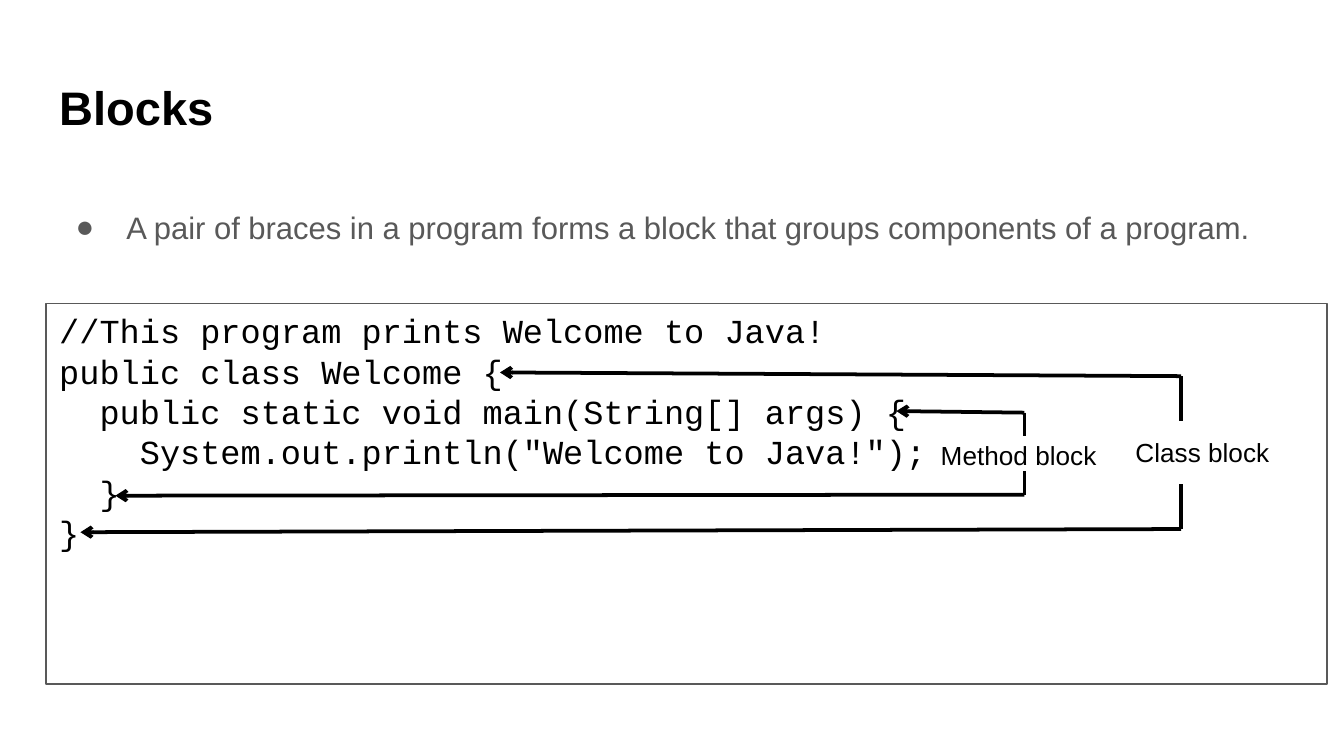
from lxml.etree import SubElement
from pptx import Presentation
from pptx.dml.color import RGBColor
from pptx.enum.shapes import MSO_CONNECTOR, MSO_SHAPE
from pptx.enum.text import MSO_ANCHOR, PP_ALIGN
from pptx.oxml.ns import qn
from pptx.util import Cm, Pt

BLACK = RGBColor(0x00, 0x00, 0x00)
GRAY = RGBColor(0x59, 0x59, 0x59)

LEFT = 0.87
TEXT_WIDTH = 23.67
CODE = """//This program prints Welcome to Java!
public class Welcome {
  public static void main(String[] args) {
    System.out.println("Welcome to Java!");
  }
}"""


def style_font(font, name, size, color, bold=False):
    """Set the look of a font."""
    font.name = name
    font.size = Pt(size)
    font.color.rgb = color
    font.bold = bold


def add_text(page, text, frame, size, color=BLACK, bold=False, wrap=True):
    """Add an Arial text box and return it."""
    box = page.shapes.add_textbox(*(Cm(length) for length in frame))
    box.text_frame.word_wrap = wrap
    box.text_frame.text = text
    for span in box.text_frame.paragraphs[0].runs:
        style_font(span.font, "Arial", size, color, bold)
    return box


def add_title(page, text):
    """Add the bold heading."""
    box = add_text(page, text, (LEFT, 1.24, TEXT_WIDTH, 1.6), 25.2, bold=True)
    box.text_frame.margin_top = box.text_frame.margin_bottom = Cm(0.25)


def add_bullet(page, text):
    """Add the bulleted statement."""
    box = add_text(page, text, (LEFT, 3.18, TEXT_WIDTH, 2.11), 16.6, GRAY)
    box.text_frame.vertical_anchor = MSO_ANCHOR.MIDDLE
    paragraph = box.text_frame.paragraphs[0]
    paragraph.line_spacing = 1.15
    properties = paragraph._p.get_or_add_pPr()
    properties.set("marL", str(Cm(1.27)))
    properties.set("indent", str(Cm(-0.96)))
    SubElement(properties, qn("a:buFont"), typeface="Arial")
    SubElement(properties, qn("a:buChar"), char="●")


def add_code(page, code):
    """Add the framed code listing."""
    box = page.shapes.add_shape(
        MSO_SHAPE.RECTANGLE, Cm(LEFT), Cm(5.74), Cm(24.21), Cm(7.19))
    box.shadow.inherit = False
    box.fill.background()
    box.line.color.rgb = GRAY
    box.line.width = Pt(0.75)
    box.text_frame.vertical_anchor = MSO_ANCHOR.TOP
    box.text_frame.text = code
    for paragraph in box.text_frame.paragraphs:
        paragraph.alignment = PP_ALIGN.LEFT
        for span in paragraph.runs:
            style_font(span.font, "Courier New", 18, BLACK)


def add_line(page, start, end, arrow=False):
    """Add a straight line, with an optional arrowhead at its start."""
    line = page.shapes.add_connector(
        MSO_CONNECTOR.STRAIGHT, *(Cm(length) for length in start + end))
    line.line.color.rgb = BLACK
    line.line.width = Pt(2)
    if arrow:
        SubElement(line.line._get_or_add_ln(), qn("a:headEnd"), type="arrow")
    SubElement(line._element.spPr, qn("a:effectLst"))


def add_bracket(page, label, frame, opening, closing, top, bottom, stub):
    """Add a label with arrows to its opening and closing braces."""
    for brace, corner, direction in ((opening, top, 1), (closing, bottom, -1)):
        add_line(page, brace, corner, arrow=True)
        add_line(page, corner, (corner[0], corner[1] + direction * stub))
    add_text(page, label, frame, 14, wrap=False)


def main():
    """Build and save the slide."""
    deck = Presentation()
    deck.slide_width, deck.slide_height = Cm(25.4), Cm(14.29)
    page = deck.slides.add_slide(deck.slide_layouts[6])
    add_bullet(page, "A pair of braces in a program forms a block that "
                     "groups components of a program.")
    add_code(page, CODE)
    add_title(page, "Blocks")
    add_bracket(page, "Class block", (21.21, 8.13, 3.05, 0.86),
                opening=(9.45, 7.04), closing=(1.52, 10.06),
                top=(22.32, 7.11), bottom=(22.32, 10), stub=0.85)
    add_bracket(page, "Method block", (17.53, 8.18, 3.48, 0.86),
                opening=(16.94, 7.77), closing=(2.18, 9.37),
                top=(19.36, 7.8), bottom=(19.36, 9.35), stub=0.45)
    deck.save("out.pptx")


if __name__ == "__main__":
    main()
